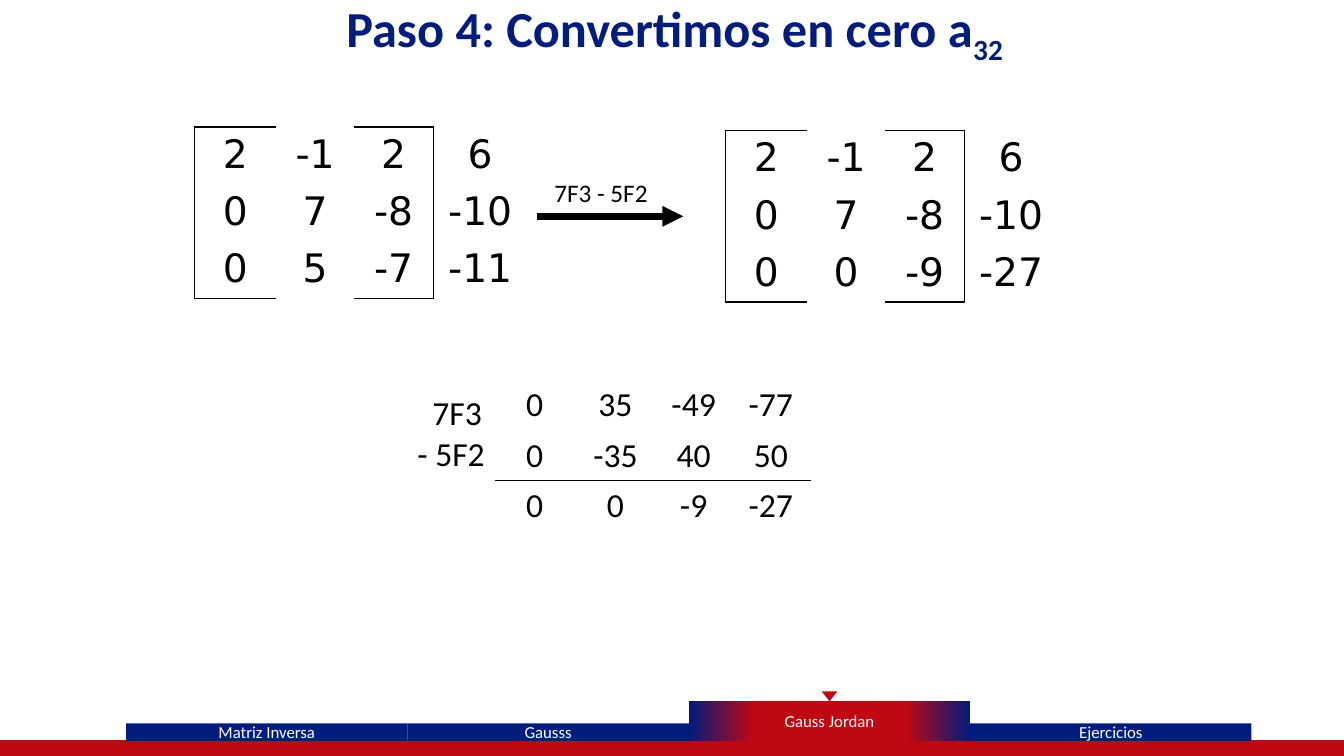
from dataclasses import dataclass

from lxml.etree import SubElement
from pptx import Presentation
from pptx.dml.color import RGBColor
from pptx.enum.shapes import MSO_CONNECTOR, MSO_SHAPE as Preset
from pptx.enum.text import MSO_ANCHOR as Anchor, MSO_AUTO_SIZE as AutoSize, PP_ALIGN as Align
from pptx.oxml.ns import qn
from pptx.util import Cm, Pt

NAVY, RED, BLACK, WHITE = "001C7D", "C00812", "000000", "FFFFFF"
TITLE_OUTLINE = "36147C"
BODY_FONT, MATRIX_FONT = "Calibri", "DejaVu Sans"


@dataclass
class Tab:
    label: str
    active: bool = False


@dataclass
class Grid:
    left: float
    top: float
    widths: list[float]
    row_height: float
    font: str
    size: float
    rows: list[list[int]]
    borders: dict[tuple[int, int], str]


def color(value: str) -> RGBColor:
    return RGBColor.from_string(value)


def add_run(paragraph, text: str, size: float, hue: str, font: str = BODY_FONT, bold: bool = False):
    run = paragraph.add_run()
    run.text = text
    run.font.name = font
    run.font.size = Pt(size)
    run.font.bold = bold
    run.font.color.rgb = color(hue)
    return run


def add_solid_fill(parent, hue: str) -> None:
    fill = SubElement(parent, qn("a:solidFill"))
    SubElement(fill, qn("a:srgbClr"), val=hue)


def add_block(slide, preset, left: float, top: float, width: float, height: float, hue: str):
    shape = slide.shapes.add_shape(preset, Cm(left), Cm(top), Cm(width), Cm(height))
    shape.shadow.inherit = False
    shape.fill.solid()
    shape.fill.fore_color.rgb = color(hue)
    shape.line.fill.background()
    return shape


def fade_sides(shape) -> None:
    shape.fill.gradient()
    shape.fill.gradient_angle = 0
    stops = shape.element.spPr.find(qn("a:gradFill")).find(qn("a:gsLst"))
    for stop in list(stops):
        stops.remove(stop)
    for percent, hue in [(0, NAVY), (23, RED), (77, RED), (100, NAVY)]:
        stop = SubElement(stops, qn("a:gs"), pos=str(percent * 1000))
        SubElement(stop, qn("a:srgbClr"), val=hue)


def add_tab(slide, tab: Tab, left: float, width: float) -> None:
    top, height = (17.67, 1.0) if tab.active else (18.23, 0.44)
    shape = add_block(slide, Preset.RECTANGLE, left, top, width, height, NAVY)
    if tab.active:
        fade_sides(shape)
    frame = shape.text_frame
    frame.margin_top = frame.margin_bottom = 0
    frame.vertical_anchor = Anchor.MIDDLE
    frame.paragraphs[0].alignment = Align.CENTER
    add_run(frame.paragraphs[0], tab.label, 12, WHITE)


def add_label(slide, left: float, top: float, width: float, height: float,
              lines: list[tuple[str, float]], size: float) -> None:
    """Each line is its text and its left indent in centimetres."""
    frame = slide.shapes.add_textbox(Cm(left), Cm(top), Cm(width), Cm(height)).text_frame
    frame.word_wrap = True
    for index, (text, indent) in enumerate(lines):
        paragraph = frame.add_paragraph() if index else frame.paragraphs[0]
        if indent:
            paragraph._p.get_or_add_pPr().set("marL", str(Cm(indent)))
        add_run(paragraph, text, size, BLACK)


def set_borders(cell, sides: str) -> None:
    properties = cell._tc.get_or_add_tcPr()
    for side in "LRTB":
        line = SubElement(properties, qn(f"a:ln{side}"), w=str(Pt(1)))
        if side in sides:
            add_solid_fill(line, BLACK)
        else:
            SubElement(line, qn("a:noFill"))


def add_grid(slide, grid: Grid) -> None:
    count = len(grid.rows)
    table = slide.shapes.add_table(count, len(grid.widths), Cm(grid.left), Cm(grid.top),
                                   Cm(sum(grid.widths)), Cm(grid.row_height * count)).table
    table.first_row = table.horz_banding = False
    for column, width in zip(table.columns, grid.widths):
        column.width = Cm(width)
    for row_index, values in enumerate(grid.rows):
        table.rows[row_index].height = Cm(grid.row_height)
        for column_index, value in enumerate(values):
            cell = table.cell(row_index, column_index)
            set_borders(cell, grid.borders.get((row_index, column_index), ""))
            cell.fill.background()
            paragraph = cell.text_frame.paragraphs[0]
            paragraph.alignment = Align.CENTER
            add_run(paragraph, str(value), grid.size, BLACK, grid.font)


def add_matrix(slide, left: float, top: float, rows: list[list[int]]) -> None:
    # Square brackets around the first three columns
    borders = {}
    for row, edge in enumerate(["T", "", "B"]):
        borders[row, 0] = "L" + edge
        borders[row, 2] = "R" + edge
        borders[row, 3] = "L"
    add_grid(slide, Grid(left, top, [2.06, 1.96, 2.0, 2.36], 1.44, MATRIX_FONT, 28, rows, borders))


def add_arrow(slide, left: float, right: float, top: float) -> None:
    arrow = slide.shapes.add_connector(MSO_CONNECTOR.STRAIGHT, Cm(left), Cm(top), Cm(right), Cm(top))
    arrow.line.color.rgb = color(BLACK)
    arrow.line.width = Pt(5)
    SubElement(arrow.line._get_or_add_ln(), qn("a:tailEnd"), type="triangle")
    SubElement(arrow._element.spPr, qn("a:effectLst"))


def set_title(slide) -> None:
    title = slide.shapes.title
    title.left, title.top, title.width, title.height = Cm(0.97), Cm(-0.2), Cm(32.06), Cm(1.8)
    frame = title.text_frame
    frame.word_wrap = True
    frame.auto_size = AutoSize.NONE
    frame.vertical_anchor = Anchor.TOP
    paragraph = frame.paragraphs[0]
    paragraph.alignment = Align.CENTER
    for text, baseline in [("Paso 4: Convertimos en cero a", 0), ("32", -25)]:
        properties = add_run(paragraph, text, 36, NAVY, bold=True)._r.get_or_add_rPr()
        if baseline:
            properties.set("baseline", str(baseline * 1000))
        outline = SubElement(properties, qn("a:ln"), w=str(Pt(0.75)))
        add_solid_fill(outline, TITLE_OUTLINE)
        properties.insert(0, outline)


def main() -> None:
    presentation = Presentation()
    presentation.slide_width, presentation.slide_height = Cm(33.87), Cm(19.05)
    slide = presentation.slides.add_slide(presentation.slide_layouts[5])
    set_title(slide)

    # Navigation bar
    bar = add_block(slide, Preset.FLOWCHART_PROCESS, -0.02, 18.67, 33.91, 0.38, RED)
    bar.line.color.rgb = color(RED)
    bar.line.width = Pt(1)
    tab_left, tab_width = 3.18, 7.09
    tabs = [Tab("Matriz Inversa"), Tab("Gausss"), Tab("Gauss Jordan", active=True), Tab("Ejercicios")]
    for index, tab in enumerate(tabs):
        left = tab_left + index * tab_width
        add_tab(slide, tab, left, tab_width)
        if tab.active:
            marker = add_block(slide, Preset.ISOSCELES_TRIANGLE,
                               left + tab_width / 2 - 0.2, 17.42, 0.4, 0.25, RED)
            marker.rotation = 180

    # Matrix before and after the row operation
    upper_rows = [[2, -1, 2, 6], [0, 7, -8, -10]]
    add_matrix(slide, 4.9, 3.2, upper_rows + [[0, 5, -7, -11]])
    add_matrix(slide, 18.28, 3.29, upper_rows + [[0, 0, -9, -27]])
    add_arrow(slide, 13.54, 17.22, 5.45)
    add_label(slide, 13.72, 4.34, 3.58, 1.02, [("7F3 - 5F2", 0)], 18)

    # Worked subtraction, ruled above the result
    rule = {(row, column): side for row, side in [(1, "B"), (2, "T")] for column in range(4)}
    add_grid(slide, Grid(12.47, 9.57, [2.0, 2.08, 1.86, 2.03], 1.27, BODY_FONT, 24,
                         [[0, 35, -49, -77], [0, -35, 40, 50], [0, 0, -9, -27]], rule))
    add_label(slide, 10.27, 9.76, 3.66, 2.31, [("7F3", 0.38), ("- 5F2", 0)], 24)

    presentation.save("out.pptx")


if __name__ == "__main__":
    main()
